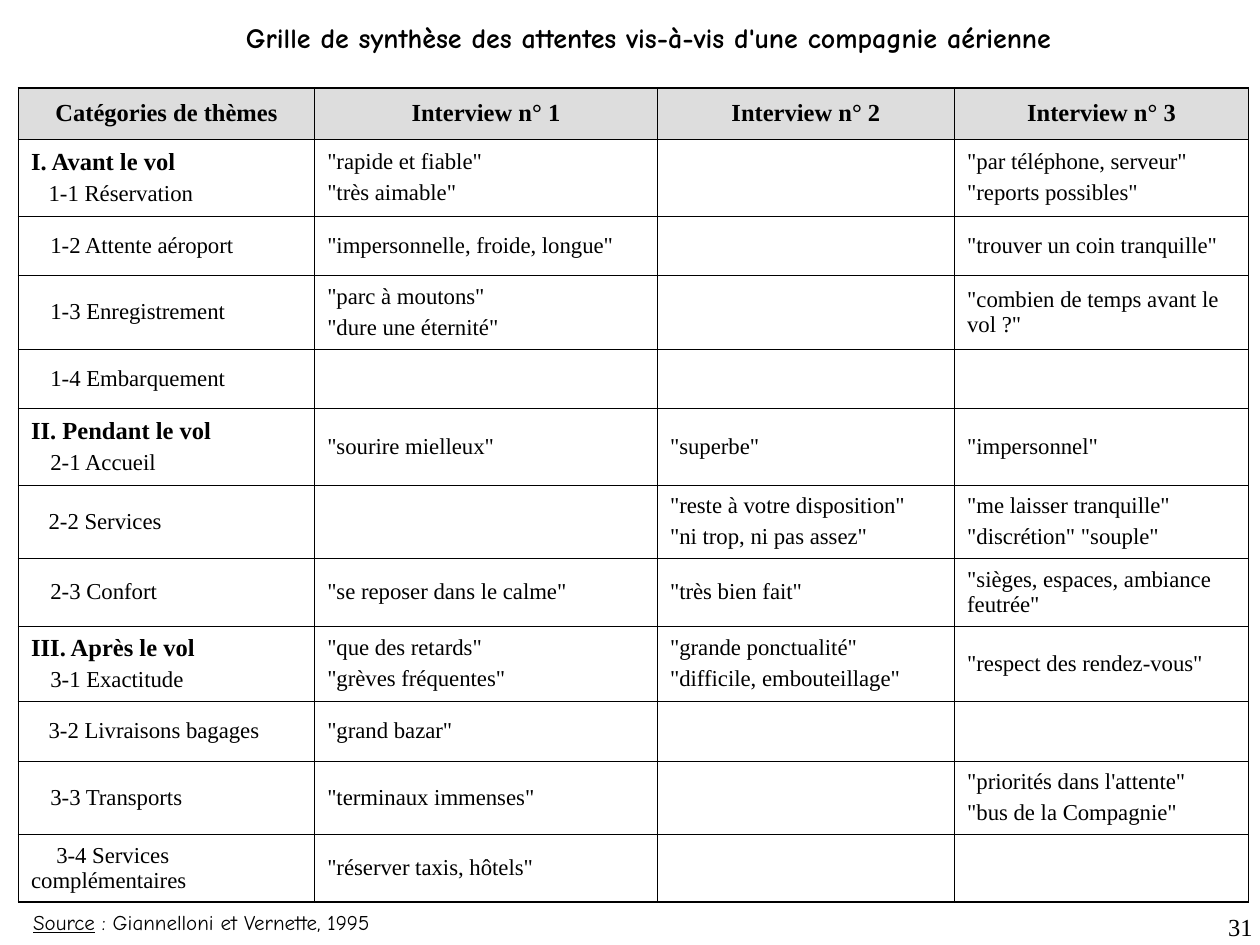
from dataclasses import dataclass

from lxml import etree
from pptx import Presentation
from pptx.dml.color import RGBColor
from pptx.enum.text import MSO_ANCHOR, MSO_AUTO_SIZE, PP_ALIGN
from pptx.oxml.ns import qn
from pptx.util import Pt

LEFT, CENTER, RIGHT = PP_ALIGN.LEFT, PP_ALIGN.CENTER, PP_ALIGN.RIGHT
MIDDLE = MSO_ANCHOR.MIDDLE
FIT_SHAPE, FIXED_SIZE = MSO_AUTO_SIZE.SHAPE_TO_FIT_TEXT, MSO_AUTO_SIZE.NONE


@dataclass(frozen=True)
class Theme:
    ink: str = "000000"
    header_fill: str = "DDDDDD"
    table_font: str = "Times New Roman"
    note_font: str = "Comic Neue"
    title_size: float = 16
    heading_size: float = 14
    body_size: float = 13
    source_size: float = 12
    line_gap: float = 3.3
    inner_line: float = 0.45
    outer_line: float = 1.08
    inset_x: float = 7.2
    inset_y: float = 3.6


@dataclass(frozen=True)
class Span:
    text: str
    size: float
    font: str
    bold: bool = False
    underline: bool = False


@dataclass(frozen=True)
class Line:
    spans: tuple[Span, ...]
    align: PP_ALIGN = LEFT
    indent: float = 0


@dataclass(frozen=True)
class Label:
    left: float
    top: float
    width: float
    height: float
    line: Line
    fit: bool = True


@dataclass(frozen=True)
class ThemeRow:
    height: float
    topic: str
    quotes: tuple[tuple[str, ...], ...]
    indent: float = 11
    phase: str = ""


THEME = Theme()
TABLE_LEFT, TABLE_TOP = 10.6, 50.3
COLUMN_WIDTHS = (169.2, 195.9, 169.8, 168)
HEADER_HEIGHT = 29.1
HEADERS = ("Catégories de thèmes", "Interview n° 1", "Interview n° 2", "Interview n° 3")
ROWS = (
    ThemeRow(44, "1-1 Réservation",
             (('"rapide et fiable"', '"très aimable"'), (),
              ('"par téléphone, serveur"', '"reports possibles"')), 10, "I. Avant le vol"),
    ThemeRow(33.9, "1-2 Attente aéroport",
             (('"impersonnelle, froide, longue"',), (), ('"trouver un coin tranquille"',))),
    ThemeRow(42.3, "1-3 Enregistrement",
             (('"parc à moutons"', '"dure une éternité"'), (),
              ('"combien de temps avant le vol ?"',))),
    ThemeRow(33.7, "1-4 Embarquement", ((), (), ())),
    ThemeRow(44, "2-1 Accueil",
             (('"sourire mielleux"',), ('"superbe"',), ('"impersonnel"',)),
             phase="II. Pendant le vol"),
    ThemeRow(41.7, "2-2 Services",
             ((), ('"reste à votre disposition"', '"ni trop, ni pas assez"'),
              ('"me laisser tranquille"', '"discrétion" "souple"')), 10),
    ThemeRow(38.9, "2-3 Confort",
             (('"se reposer dans le calme"',), ('"très bien fait"',),
              ('"sièges, espaces, ambiance feutrée"',))),
    ThemeRow(42.9, "3-1 Exactitude",
             (('"que des retards"', '"grèves fréquentes"'),
              ('"grande ponctualité"', '"difficile, embouteillage"'),
              ('"respect des rendez-vous"',)), phase="III. Après le vol"),
    ThemeRow(34.3, "3-2 Livraisons bagages", (('"grand bazar"',), (), ()), 10),
    ThemeRow(41.7, "3-3 Transports",
             (('"terminaux immenses"',), (),
              ('"priorités dans l\'attente"', '"bus de la Compagnie"'))),
    ThemeRow(38.9, "3-4 Services complémentaires",
             (('"réserver taxis, hôtels"',), (), ()), 14.4),
)
LABELS = (
    Label(11.9, 516, 208, 21.6, Line((
        Span("Source", THEME.source_size, THEME.note_font, underline=True),
        Span(" : Giannelloni et Vernette, 1995", THEME.source_size, THEME.note_font)))),
    Label(133.5, 8.4, 475.2, 26.6, Line((
        Span("Grille de synthèse des attentes vis-à-vis d'une compagnie aérienne",
             THEME.title_size, THEME.note_font, bold=True),))),
    Label(573.1, 517.7, 149.8, 36, Line((
        Span("31", THEME.heading_size, THEME.table_font),), RIGHT), fit=False),
)


def heading(text: str, align: PP_ALIGN = LEFT) -> Line:
    return Line((Span(text, THEME.heading_size, THEME.table_font, bold=True),), align)


def body(text: str, indent: float = 0) -> Line:
    return Line((Span(text, THEME.body_size, THEME.table_font),), indent=indent)


def write_lines(frame, lines: list[Line]) -> None:
    for index, line in enumerate(lines):
        para = frame.add_paragraph() if index else frame.paragraphs[0]
        para.alignment = line.align
        if index:
            para.space_before = Pt(THEME.line_gap)
        if line.indent:
            properties = para._p.get_or_add_pPr()
            properties.set("marL", "0")
            properties.set("indent", str(Pt(line.indent)))
        for span in line.spans:
            run = para.add_run()
            run.text = span.text
            run.font.size = Pt(span.size)
            run.font.name = span.font
            run.font.bold = span.bold
            run.font.underline = span.underline
            run.font.color.rgb = RGBColor.from_string(THEME.ink)


def set_borders(cell, widths: dict[str, float]) -> None:
    properties = cell._tc.get_or_add_tcPr()
    for position, (side, width) in enumerate(widths.items()):
        border = etree.Element(qn(f"a:ln{side}"), w=str(Pt(width)))
        fill = etree.SubElement(border, qn("a:solidFill"))
        etree.SubElement(fill, qn("a:srgbClr"), val=THEME.ink)
        properties.insert(position, border)


def draw_table(page) -> None:
    heights = [HEADER_HEIGHT] + [row.height for row in ROWS]
    content = [[[heading(text, CENTER)] for text in HEADERS]]
    for row in ROWS:
        topic = [heading(row.phase)] if row.phase else []
        topic.append(body(row.topic, row.indent))
        content.append([topic] + [[body(quote) for quote in quotes] for quotes in row.quotes])

    table = page.shapes.add_table(
        len(heights), len(COLUMN_WIDTHS), Pt(TABLE_LEFT), Pt(TABLE_TOP),
        Pt(sum(COLUMN_WIDTHS)), Pt(sum(heights))).table
    table.first_row = table.horz_banding = False
    for column, width in zip(table.columns, COLUMN_WIDTHS):
        column.width = Pt(width)
    last_row, last_column = len(heights) - 1, len(COLUMN_WIDTHS) - 1
    for r, height in enumerate(heights):
        table.rows[r].height = Pt(height)
        for c, lines in enumerate(content[r]):
            cell = table.cell(r, c)
            cell.vertical_anchor = MIDDLE
            cell.margin_left = cell.margin_right = Pt(THEME.inset_x)
            cell.margin_top = cell.margin_bottom = Pt(THEME.inset_y)
            if r == 0:
                cell.fill.solid()
                cell.fill.fore_color.rgb = RGBColor.from_string(THEME.header_fill)
            else:
                cell.fill.background()
            edges = {"L": c == 0, "R": c == last_column, "T": r == 0, "B": r == last_row}
            set_borders(cell, {side: THEME.outer_line if outer else THEME.inner_line
                               for side, outer in edges.items()})
            write_lines(cell.text_frame, lines)


def draw_label(page, label: Label) -> None:
    box = page.shapes.add_textbox(
        Pt(label.left), Pt(label.top), Pt(label.width), Pt(label.height))
    frame = box.text_frame
    frame.word_wrap = not label.fit
    frame.auto_size = FIT_SHAPE if label.fit else FIXED_SIZE
    write_lines(frame, [label.line])


def main() -> None:
    deck = Presentation()
    deck.slide_width, deck.slide_height = Pt(720), Pt(540)
    page = deck.slides.add_slide(deck.slide_layouts[6])
    draw_table(page)
    for label in LABELS:
        draw_label(page, label)
    deck.save("out.pptx")


if __name__ == "__main__":
    main()
